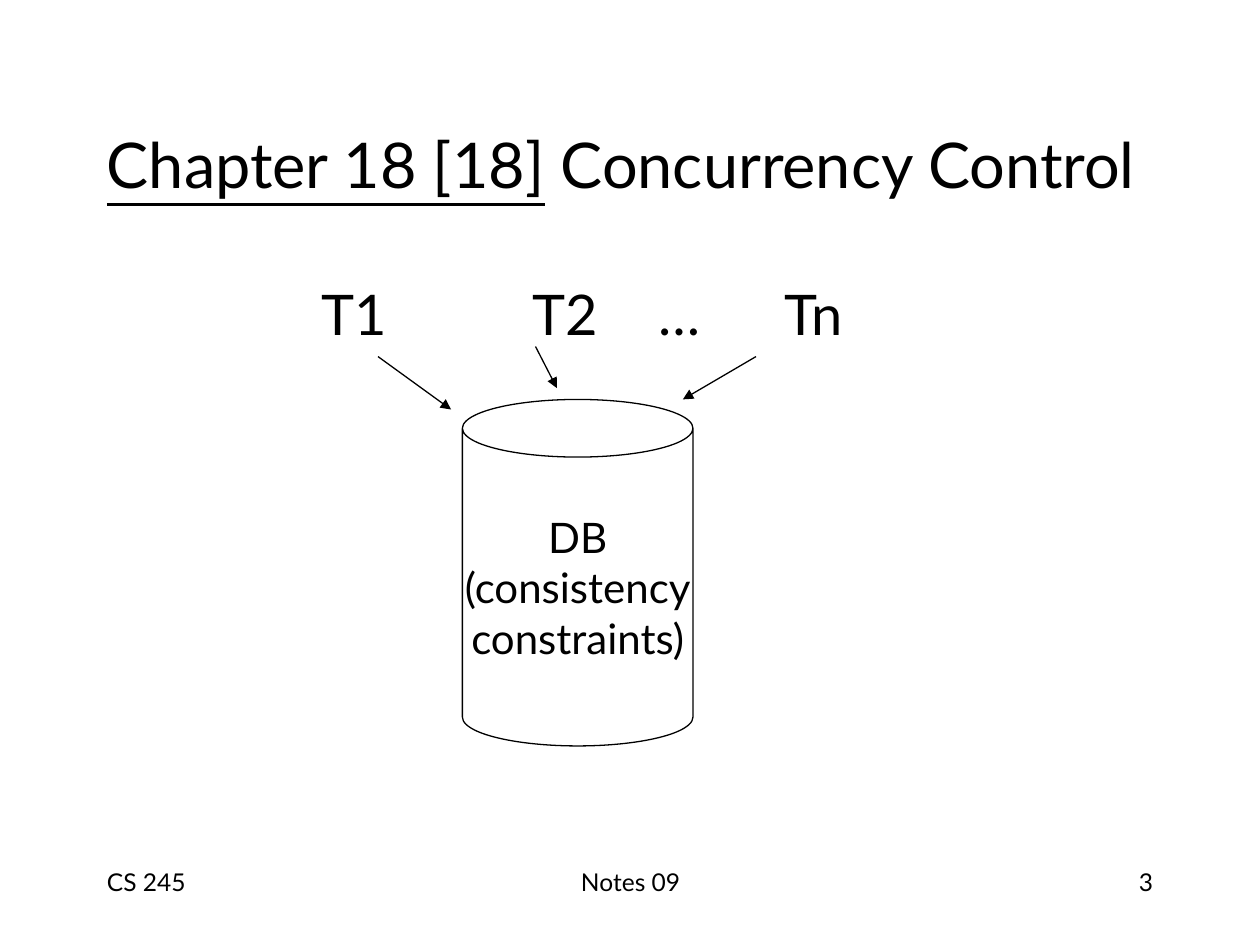
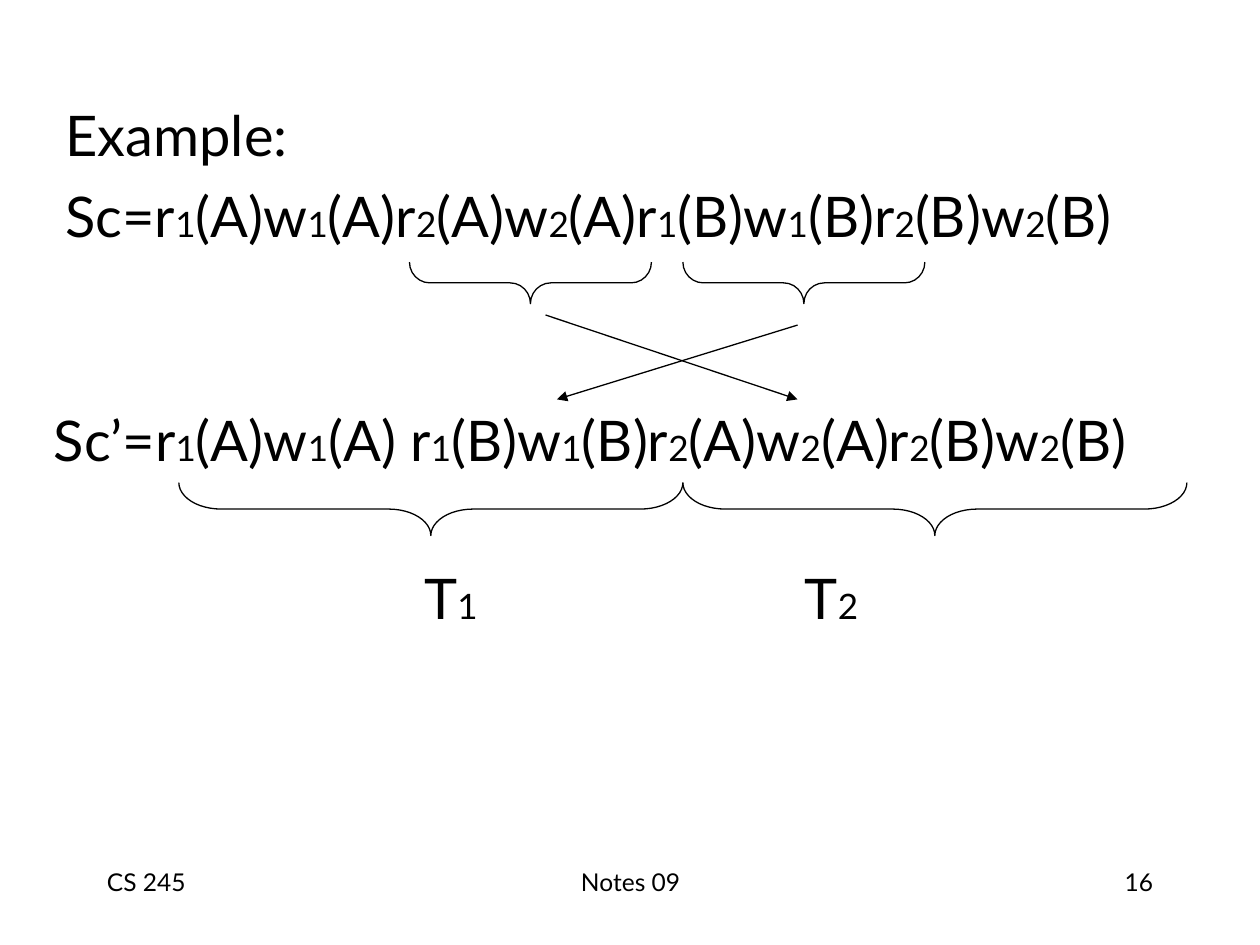
from dataclasses import dataclass
from itertools import groupby
from typing import NamedTuple

from lxml import etree
from pptx import Presentation
from pptx.dml.color import RGBColor
from pptx.enum.shapes import MSO_CONNECTOR, MSO_SHAPE
from pptx.enum.text import MSO_ANCHOR, PP_ALIGN
from pptx.oxml.ns import qn
from pptx.util import Inches, Pt

LEFT, CENTER, RIGHT = PP_ALIGN.LEFT, PP_ALIGN.CENTER, PP_ALIGN.RIGHT
TOP, MIDDLE = MSO_ANCHOR.TOP, MSO_ANCHOR.MIDDLE
CAN, BRACE = MSO_SHAPE.CAN, MSO_SHAPE.LEFT_BRACE
STRAIGHT = MSO_CONNECTOR.STRAIGHT


@dataclass(frozen=True)
class Theme:
    font: str = "Lato"
    ink: RGBColor = RGBColor(0, 0, 0)
    paper: RGBColor = RGBColor(255, 255, 255)
    line: float = 0.75
    title: int = 36
    body: int = 32
    store: int = 24
    sub: int = 20
    foot: int = 14
    gap: int = 8


class Box(NamedTuple):
    x: float
    y: float
    w: float
    h: float

    def inner(self, dx, dy, w, h):
        return Box(self.x + dx, self.y + dy, w, h)

    def emu(self):
        return [Inches(v) for v in self]


THEME = Theme()
PAGE = Box(0, 0, 10, 7.5)


def add_run(para, text, size, under=False):
    run = para.add_run()
    run.text = text
    font = run.font
    font.name, font.size, font.underline = THEME.font, Pt(size), under
    font.color.rgb = THEME.ink


def add_terms(para, text):
    """Write text with every digit as a small index."""
    for digit, chars in groupby(text, str.isdigit):
        add_run(para, "".join(chars), THEME.sub if digit else THEME.body)


def add_tabs(para, stops):
    tabs = etree.SubElement(para._p.get_or_add_pPr(), qn("a:tabLst"))
    for stop in stops:
        etree.SubElement(tabs, qn("a:tab"), pos=str(Inches(stop)), algn="l")


def add_text(slide, box, anchor=TOP):
    frame = slide.shapes.add_textbox(*box.emu()).text_frame
    frame.word_wrap = True
    frame.vertical_anchor = anchor
    return frame


def ink_line(shape):
    shape.line.color.rgb = THEME.ink
    shape.line.width = Pt(THEME.line)


def add_arrow(slide, box, start, end):
    """Draw an arrow between two points measured from the box corner."""
    ends = [Inches(o + d) for point in (start, end)
            for o, d in zip((box.x, box.y), point)]
    arrow = slide.shapes.add_connector(STRAIGHT, *ends)
    ink_line(arrow)
    props = arrow._element.spPr
    etree.SubElement(props.find(qn("a:ln")), qn("a:tailEnd"), type="triangle")
    etree.SubElement(props, qn("a:effectLst"))


def add_brace(slide, box, curve):
    """Lay a brace along the box, with its tip at the bottom."""
    shift = (box.w - box.h) / 2
    turned = box.inner(shift, -shift, box.h, box.w)
    brace = slide.shapes.add_shape(BRACE, *turned.emu())
    brace.rotation = 270
    brace.adjustments[0] = curve
    brace.shadow.inherit = False
    brace.fill.background()
    ink_line(brace)


def add_footer(slide, box, number):
    cells = ((0, 2.08, "CS 245", LEFT), (2.67, 3.17, "Notes 09", CENTER),
             (6.42, 2.08, str(number), RIGHT))
    for dx, width, text, align in cells:
        para = add_text(slide, box.inner(dx, 0, width, box.h)).paragraphs[0]
        para.alignment = align
        add_run(para, text, THEME.foot)


def add_title(slide, box, lead, rest):
    para = add_text(slide, box, MIDDLE).paragraphs[0]
    add_run(para, lead, THEME.title, under=True)
    add_run(para, rest, THEME.title)


def add_store(slide, box, lines):
    store = slide.shapes.add_shape(CAN, *box.emu())
    store.adjustments[0] = 0.25
    store.shadow.inherit = False
    store.fill.solid()
    store.fill.fore_color.rgb = THEME.paper
    ink_line(store)
    frame = store.text_frame
    frame.word_wrap = False
    frame.vertical_anchor = MIDDLE
    for i, line in enumerate(lines):
        para = frame.add_paragraph() if i else frame.paragraphs[0]
        para.alignment = CENTER
        add_run(para, line, THEME.store)


def add_access(slide, box):
    """Transactions that all point at one database."""
    para = add_text(slide, box.inner(0, 0, 6, 0.7)).paragraphs[0]
    add_tabs(para, (1.68, 2.68, 3.68))
    add_run(para, "T1\tT2\t…\tTn", THEME.body)
    add_store(slide, box.inner(1.22, 1, 1.83, 2.75),
              ("DB", "(consistency", "constraints)"))
    for start, end in (((0.55, 0.66), (1.13, 1.08)),
                       ((1.8, 0.58), (1.97, 0.91)),
                       ((3.55, 0.66), (2.97, 1))):
        add_arrow(slide, box, start, end)


def add_before(slide, box):
    frame = add_text(slide, box.inner(0, 0, box.w, 1.42))
    add_run(frame.paragraphs[0], "Example:", THEME.body)
    para = frame.add_paragraph()
    para.space_before = Pt(THEME.gap)
    add_terms(para, "Sc=r1(A)w1(A)r2(A)w2(A)r1(B)w1(B)r2(B)w2(B)")
    for i in range(2):
        add_brace(slide, box.inner(2.83 + i * 2.17, 1.33, 1.92, 0.33), 0.49)


def add_swap(slide, box):
    add_arrow(slide, box, (box.w, 0.08), (0.09, box.h))
    add_arrow(slide, box, (0, 0), (box.w, box.h))


def add_after(slide, box):
    para = add_text(slide, box.inner(0, 0, box.w, 0.7)).paragraphs[0]
    add_terms(para, "Sc’=r1(A)w1(A) r1(B)w1(B)r2(A)w2(A)r2(B)w2(B)")
    for i in range(2):
        add_brace(slide, box.inner(1.09 + i * 4, 0.66, 4, 0.42), 0.8)
    para = add_text(slide, box.inner(2.94, 1.25, 5, 0.7)).paragraphs[0]
    add_tabs(para, (3.02,))
    add_terms(para, "T1\tT2")


def add_page(deck, number):
    slide = deck.slides.add_slide(deck.slide_layouts[6])
    add_footer(slide, Box(0.75, 6.83, 8.5, 0.5), number)
    return slide


def control_page(deck):
    slide = add_page(deck, 3)
    add_title(slide, Box(0.75, 0.67, 8.5, 1.25),
              "Chapter 18 [18]", " Concurrency Control")
    add_access(slide, Box(2.45, 2.17, 6, 3.75))


def example_page(deck):
    slide = add_page(deck, 16)
    add_before(slide, Box(0.42, 0.75, 9.25, 1.66))
    add_swap(slide, Box(4.33, 2.5, 2, 0.67))
    add_after(slide, Box(0.33, 3.17, 9.25, 2.17))


def main():
    deck = Presentation()
    deck.slide_width, deck.slide_height = Inches(PAGE.w), Inches(PAGE.h)
    control_page(deck)
    example_page(deck)
    deck.save("out.pptx")


if __name__ == "__main__":
    main()
